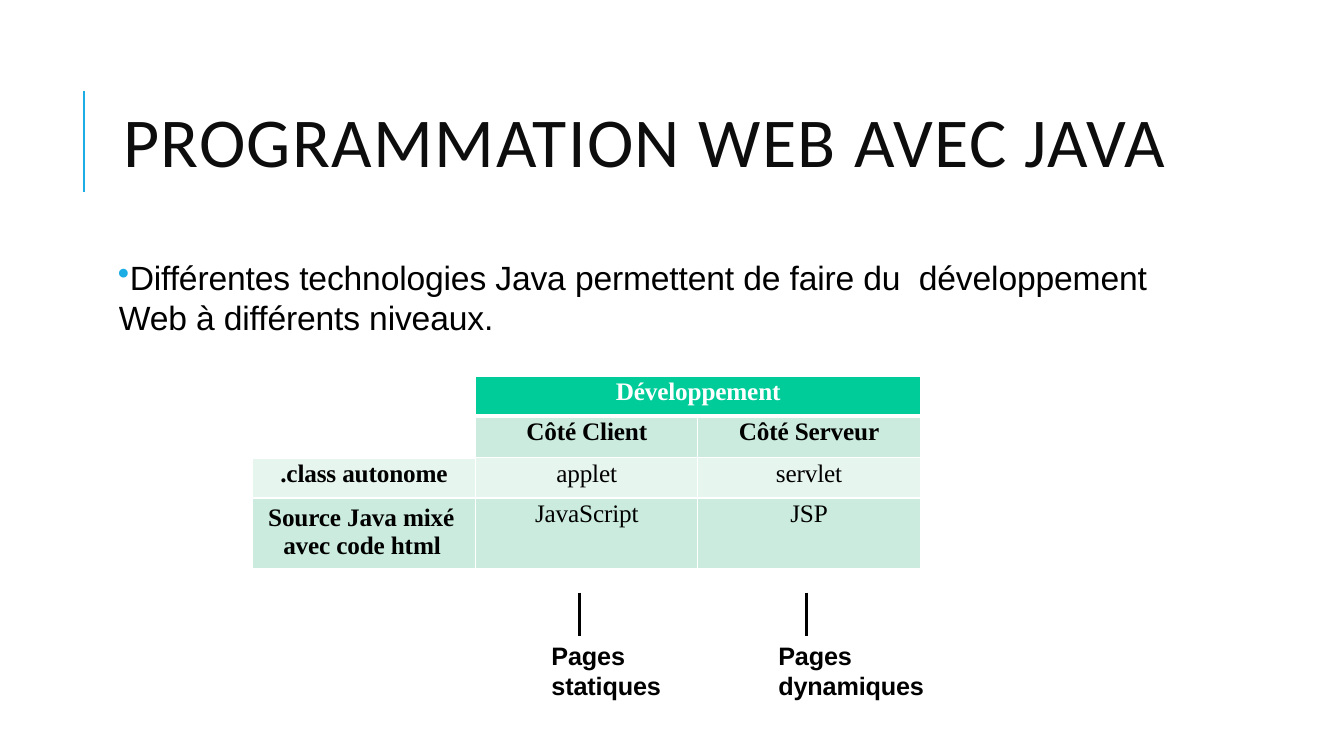
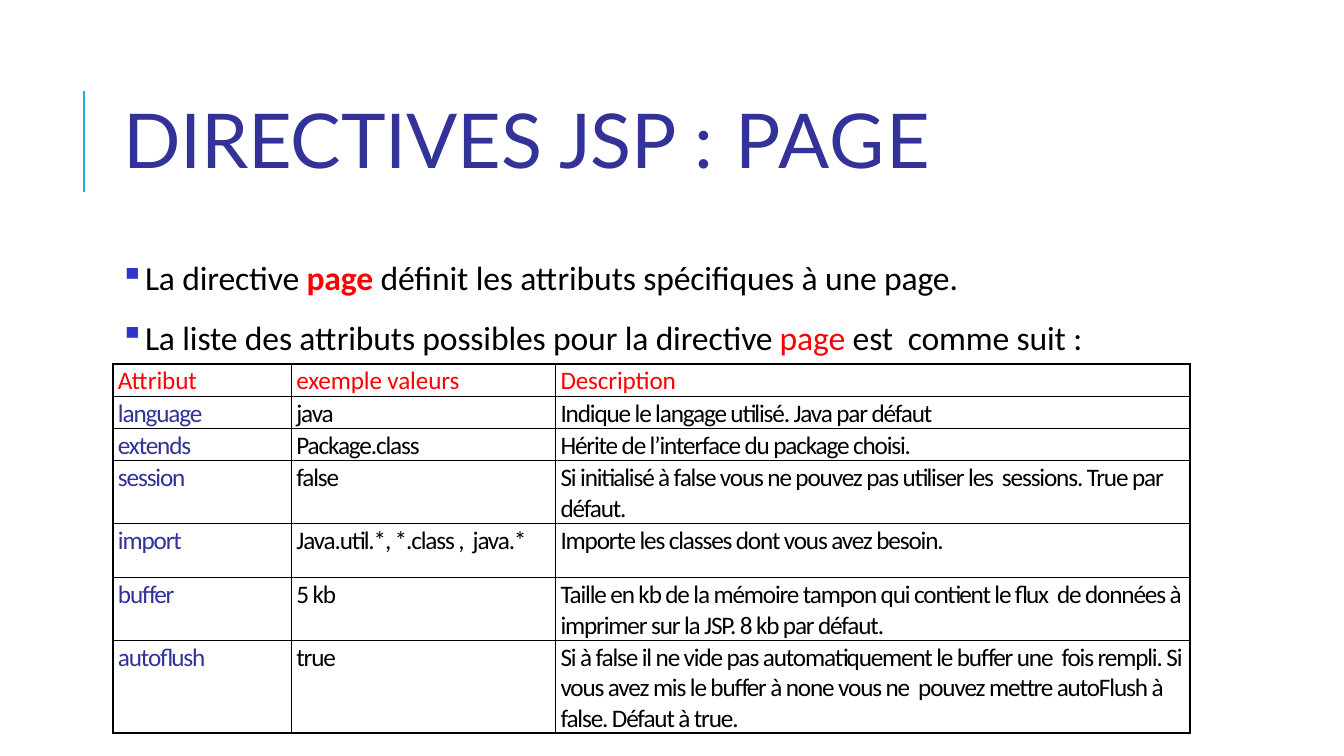
from pptx import Presentation
from pptx.dml.color import RGBColor
from pptx.enum.shapes import MSO_CONNECTOR as Connector
from pptx.enum.text import MSO_ANCHOR as Anchor, MSO_AUTO_SIZE as AutoSize, PP_ALIGN as Align
from pptx.oxml.ns import qn
from pptx.util import Emu, Pt
from lxml.etree import SubElement, Element

PX = 9144  # 100 px to the inch
BLACK, WHITE, RED = "000000", "FFFFFF", "FF0000"
ACCENT, NAVY, BULLET_BLUE = "1CADE4", "323299", "3232CC"
GREEN, MINT, PALE_MINT = "00CC99", "CAEBDD", "E6F5EE"
TITLE_BOX = (112, 64, 1063, 164)
BODY_BOX = (112, 250, 1063, 440)

ATTRIBUTES = [
    ("Attribut", "exemple valeurs", "Description"),
    ("language", "java", "Indique le langage utilisé. Java par défaut"),
    ("extends", "Package.class", "Hérite de l’interface du package choisi."),
    ("session", "false",
     "Si initialisé à false vous ne pouvez pas utiliser les  sessions. True par défaut."),
    ("import", "Java.util.*, *.class ,  java.*", "Importe les classes dont vous avez besoin."),
    ("buffer", "5 kb",
     "Taille en kb de la mémoire tampon qui contient le flux  de données à imprimer sur la JSP. "
     "8 kb par défaut."),
    ("autoflush", "true",
     "Si à false il ne vide pas automatiquement le buffer une  fois rempli. Si vous avez mis le "
     "buffer à none vous ne  pouvez mettre autoFlush à false. Défaut à true."),
]


def px(length):
    return Emu(length * PX)


def color(value):
    return RGBColor.from_string(value)


def write(paragraph, *runs, size=18, font="Calibri", fill=BLACK, bold=False, spacing=-0.1,
          align=Align.LEFT, before=0, after=0, line=None, margin=0, indent=0,
          bullet=None, bullet_fill=ACCENT):
    """Each run is a text, or a text and a dict of what differs: fill, bold, spacing."""
    paragraph.alignment = align
    paragraph.space_before, paragraph.space_after = Pt(before), Pt(after)
    if line:
        paragraph.line_spacing = line
    properties = paragraph._p.get_or_add_pPr()
    properties.set("marL", str(px(margin)))
    properties.set("indent", str(px(indent)))
    if bullet:
        bullet_color = SubElement(properties, qn("a:buClr"))
        SubElement(bullet_color, qn("a:srgbClr"), val=bullet_fill)
        SubElement(properties, qn("a:buChar"), char=bullet)
    for item in runs:
        text, changes = (item, {}) if isinstance(item, str) else item
        style = {"fill": fill, "bold": bold, "spacing": spacing, **changes}
        run = paragraph.add_run()
        run.text = text
        run.font.size, run.font.name = Pt(size), font
        run.font.bold = style["bold"]
        run.font.color.rgb = color(style["fill"])
        run._r.get_or_add_rPr().set("spc", str(round(style["spacing"] * 100)))


def set_margins(target, left=0, top=0, right=0, bottom=0):
    target.margin_left, target.margin_top = px(left), px(top)
    target.margin_right, target.margin_bottom = px(right), px(bottom)


def add_line(slide, x, top, height, fill, width):
    line = slide.shapes.add_connector(
        Connector.STRAIGHT, px(x), px(top), px(x), px(top + height))
    line.line.color.rgb = color(fill)
    line.line.width = Pt(width)
    SubElement(line._element.spPr, qn("a:effectLst"))


def add_text_frame(slide, box, *margins):
    frame = slide.shapes.add_textbox(*map(px, box)).text_frame
    frame.word_wrap = True
    set_margins(frame, *margins)
    return frame


def add_titled_slide(presentation, *runs, **style):
    slide = presentation.slides.add_slide(presentation.slide_layouts[5])
    add_line(slide, 83, 90, 100, ACCENT, 1.5)
    title = slide.shapes.title
    title.left, title.top, title.width, title.height = map(px, TITLE_BOX)
    frame = title.text_frame
    frame.word_wrap, frame.auto_size = True, AutoSize.NONE
    frame.vertical_anchor = Anchor.MIDDLE
    write(frame.paragraphs[0], *runs, line=0.8, **style)
    return slide


def add_plain_table(slide, left, top, widths, heights):
    table = slide.shapes.add_table(len(heights), len(widths), px(left), px(top),
                                   px(sum(widths)), px(sum(heights))).table
    table.first_row = table.horz_banding = False
    for column, width in zip(table.columns, widths):
        column.width = px(width)
    for row, height in zip(table.rows, heights):
        row.height = px(height)
    return table


def format_cell(cell, fill, border, widths):
    """Border widths are points, in the order left, right, top, bottom."""
    set_margins(cell, top=2)
    if fill:
        cell.fill.solid()
        cell.fill.fore_color.rgb = color(fill)
    else:
        cell.fill.background()
    properties = cell._tc.get_or_add_tcPr()
    for position, (side, width) in enumerate(zip("LRTB", widths)):
        edge = Element(qn(f"a:ln{side}"), w=str(Pt(width)))
        SubElement(SubElement(edge, qn("a:solidFill")), qn("a:srgbClr"), val=border)
        properties.insert(position, edge)


def add_technology_table(slide, left, top):
    rows = [("", "Développement", ""),
            ("", "Côté Client", "Côté Serveur"),
            (".class autonome", "applet", "servlet"),
            ("Source Java mixé avec code html", "JavaScript", "JSP")]
    fills = [GREEN, MINT, PALE_MINT, MINT]
    table = add_plain_table(slide, left, top, [222, 220, 221], [40, 41, 40, 70])
    table.cell(0, 0).merge(table.cell(1, 0))
    table.cell(0, 1).merge(table.cell(0, 2))
    for r, row in enumerate(rows):
        for c, text in enumerate(row):
            cell = table.cell(r, c)
            is_heading = r < 2 or c == 0
            format_cell(cell, fills[r] if c or r > 1 else None, WHITE,
                        (1, 1, 3 if r == 1 else 1, 3 if r == 0 else 1))
            if not text:
                continue
            layout = {"align": Align.CENTER, "before": 2}
            if (r, c) == (3, 0):
                cell.margin_top = px(5)
                layout = {"margin": 31, "indent": -15, "line": Pt(20.4), "before": 4}
            write(cell.text_frame.paragraphs[0], text, font="Times New Roman",
                  fill=WHITE if r == 0 else BLACK, bold=is_heading, **layout)


def add_page_kind(slide, left, top, width, text):
    """A short line with the kind of page named below it."""
    add_line(slide, left + 29, top, 43, BLACK, 2)
    frame = add_text_frame(slide, (left, top + 46, width, 63), 0, 1)
    write(frame.paragraphs[0], text, font="Arial", bold=True, before=1, margin=1)


def add_attribute_table(slide, left, top):
    table = add_plain_table(slide, left, top, [177, 262, 629], [28, 28, 28, 50, 54, 50, 71])
    last_row, last_column = len(ATTRIBUTES) - 1, 2
    for r, row in enumerate(ATTRIBUTES):
        for c, text in enumerate(row):
            cell = table.cell(r, c)
            outer = (c == 0, c == last_column, r == 0, r == last_row)
            format_cell(cell, None, BLACK, [1.5 if edge else 0.5 for edge in outer])
            fill = RED if r == 0 else NAVY if c == 0 else BLACK
            write(cell.text_frame.paragraphs[0], text, fill=fill, margin=5, before=1.4,
                  spacing=-0.1 if r == 0 else -0.82)


def build_technologies(presentation):
    slide = add_titled_slide(presentation, "PROGRAMMATION WEB AVEC JAVA",
                             size=50, fill="0D0D0D", spacing=1)
    body = add_text_frame(slide, BODY_BOX, 5, 5, 5, 5)
    write(body.paragraphs[0],
          "Différentes technologies Java permettent de faire du  développement Web "
          "à différents niveaux.",
          size=24, font="Arial", margin=1, indent=-10, before=1, after=2, bullet="•")
    add_technology_table(slide, 250, 373)
    add_page_kind(slide, 546, 588, 112, "Pages statiques")
    add_page_kind(slide, 771, 588, 149, "Pages dynamiques")


def build_page_directive(presentation):
    slide = add_titled_slide(presentation, "DIRECTIVES JSP ", (": PAGE", {"spacing": 1}),
                             size=54, font="Lato", fill=NAVY)
    body = add_text_frame(slide, BODY_BOX, 5, 5, 5, 5)
    style = {"size": 24, "after": 2, "bullet": "▪", "bullet_fill": BULLET_BLUE}
    write(body.paragraphs[0], "La directive ", ("page ", {"fill": RED, "bold": True}),
          "définit les attributs spécifiques à une page.",
          margin=21, indent=-19, before=16, **style)
    write(body.add_paragraph(), "La liste des attributs possibles pour la directive ",
          ("page ", {"fill": RED}), "est  comme suit :",
          margin=19, indent=-17, before=12, **style)
    add_attribute_table(slide, 112, 361)


def main():
    presentation = Presentation()
    presentation.slide_width, presentation.slide_height = px(1333), px(750)
    build_technologies(presentation)
    build_page_directive(presentation)
    presentation.save("out.pptx")


if __name__ == "__main__":
    main()
